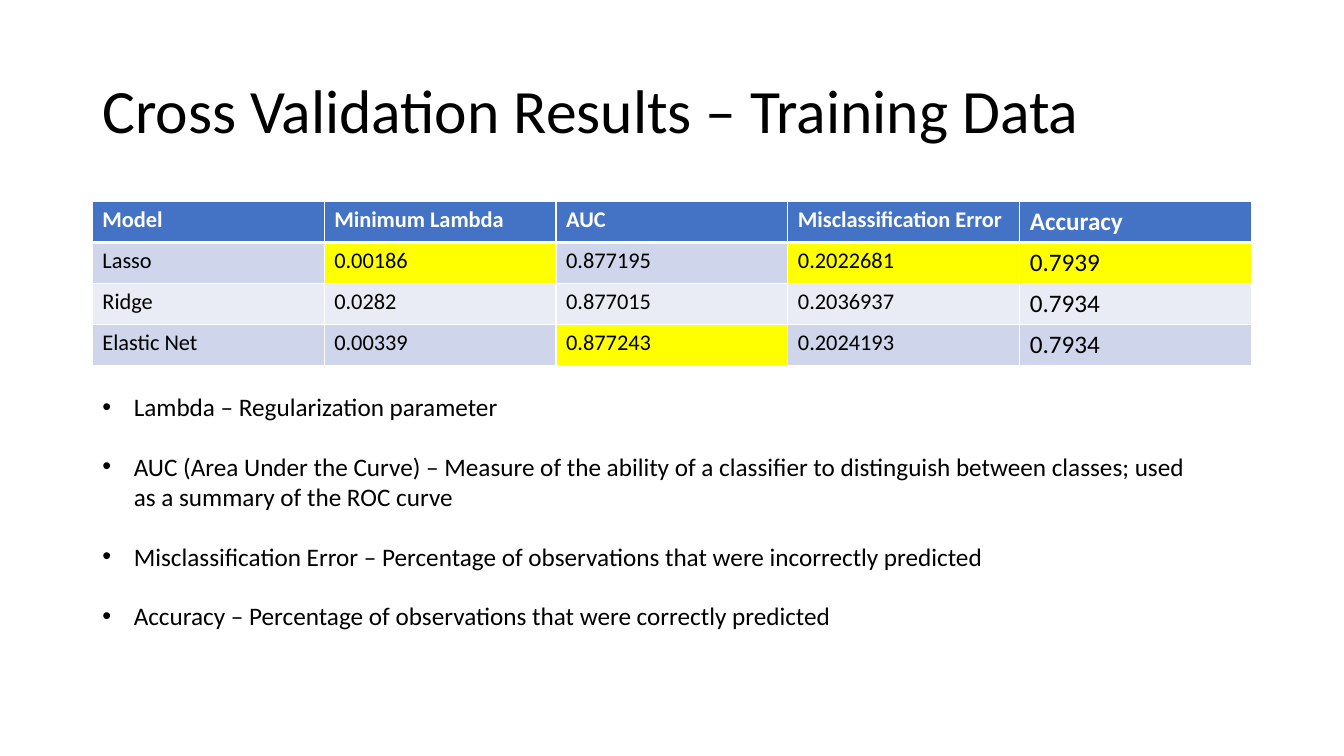
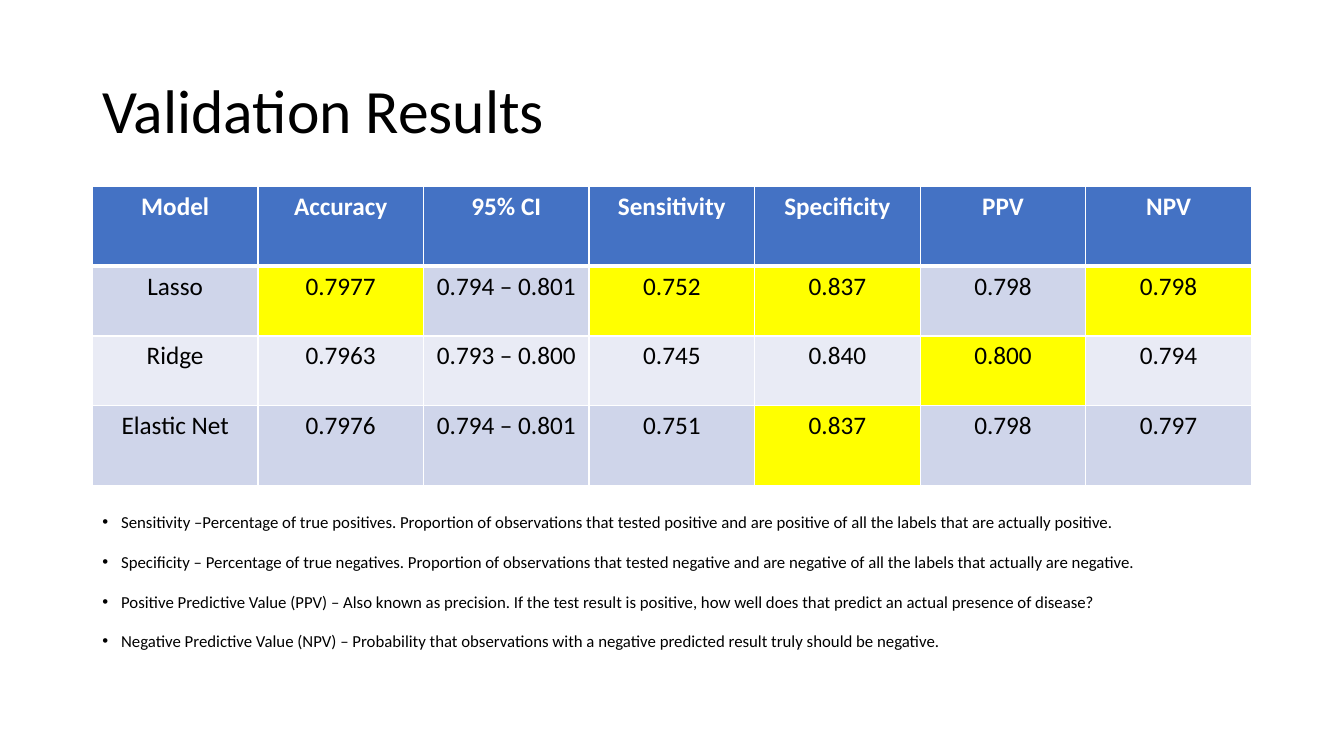
from dataclasses import dataclass

from lxml.etree import SubElement
from pptx import Presentation
from pptx.dml.color import RGBColor
from pptx.enum.text import MSO_ANCHOR, PP_ALIGN
from pptx.oxml import parse_xml
from pptx.oxml.ns import nsdecls, qn
from pptx.util import Pt


@dataclass(frozen=True)
class Theme:
    font: str = "Calibri"
    ink: str = "000000"
    paper: str = "FFFFFF"
    header: str = "4472C4"
    bands: tuple = ("CFD5EA", "E9EBF5")
    highlight: str = "FFFF00"
    title_size: int = 44
    table_size: int = 18
    rule: int = 1
    header_rule: int = 3


THEME = Theme()
LEFT, WIDTH = 66, 828
TITLE_TOP, TITLE_HEIGHT = 28.8, 104.4

# Highlights are (row, column) pairs; the header is row 0.
SLIDES = [
    {
        "title": "Cross Validation Results – Training Data",
        "table": [
            ["Model", "Minimum Lambda", "AUC", "Misclassification Error", "Accuracy"],
            ["Lasso", "0.00186", "0.877195", "0.2022681", "0.7939"],
            ["Ridge", "0.0282", "0.877015", "0.2036937", "0.7934"],
            ["Elastic Net", "0.00339", "0.877243", "0.2024193", "0.7934"],
        ],
        "highlights": {(1, 1), (1, 3), (1, 4), (3, 2)},
        "table_top": 144,
        "row_heights": [29.2] * 4,
        "column_sizes": [16] * 4 + [THEME.table_size],
        "align": PP_ALIGN.LEFT,
        "notes": [
            "Lambda – Regularization parameter",
            "AUC (Area Under the Curve) – Measure of the ability of a classifier to "
            "distinguish between classes; used as a summary of the ROC curve",
            "Misclassification Error – Percentage of observations that were incorrectly predicted",
            "Accuracy – Percentage of observations that were correctly predicted",
        ],
        "notes_box": (276, 803, 181),
        "notes_style": {"size": 18, "gap": 21, "indent": 22.5},
    },
    {
        "title": "Validation Results",
        "table": [
            ["Model", "Accuracy", "95% CI", "Sensitivity", "Specificity", "PPV", "NPV"],
            ["Lasso", "0.7977", "0.794 – 0.801", "0.752", "0.837", "0.798", "0.798"],
            ["Ridge", "0.7963", "0.793 – 0.800", "0.745", "0.840", "0.800", "0.794"],
            ["Elastic Net", "0.7976", "0.794 – 0.801", "0.751", "0.837", "0.798", "0.797"],
        ],
        "highlights": {(1, 1), (1, 3), (1, 4), (1, 6), (2, 5), (3, 4)},
        "table_top": 133,
        "row_heights": [57, 50, 50, 57],
        "column_sizes": [THEME.table_size] * 7,
        "align": PP_ALIGN.CENTER,
        "notes": [
            "Sensitivity –Percentage of true positives. Proportion of observations that tested "
            "positive and are positive of all the labels that are actually positive.",
            "Specificity – Percentage of true negatives. Proportion of observations that tested "
            "negative and are negative of all the labels that actually are negative.",
            "Positive Predictive Value (PPV) – Also known as precision. If the test result is "
            "positive, how well does that predict an actual presence of disease?",
            "Negative Predictive Value (NPV) – Probability that observations with a negative "
            "predicted result truly should be negative.",
        ],
        "notes_box": (362, 811, 109),
        "notes_style": {"size": 12, "gap": 14, "indent": 13.5},
    },
]


def write(para, text, size, color=THEME.ink, bold=False):
    span = para.add_run()
    span.text = text
    values = {"name": THEME.font, "size": Pt(size), "bold": bold}
    for name, value in values.items():
        setattr(span.font, name, value)
    span.font.color.rgb = RGBColor.from_string(color)


def add_text_frame(page, top, width, height):
    box = page.shapes.add_textbox(Pt(LEFT), Pt(top), Pt(width), Pt(height))
    box.text_frame.word_wrap = True
    return box.text_frame


def add_title(page, text):
    frame = add_text_frame(page, TITLE_TOP, WIDTH, TITLE_HEIGHT)
    frame.vertical_anchor = MSO_ANCHOR.MIDDLE
    para = frame.paragraphs[0]
    para.line_spacing = 0.9
    write(para, text, THEME.title_size)


def set_borders(cell, row):
    top = THEME.header_rule if row == 1 else THEME.rule
    bottom = THEME.header_rule if row == 0 else THEME.rule
    sides = {"L": THEME.rule, "R": THEME.rule, "T": top, "B": bottom}
    properties = cell._tc.get_or_add_tcPr()
    for index, (side, weight) in enumerate(sides.items()):
        properties.insert(index, parse_xml(
            f'<a:ln{side} {nsdecls("a")} w="{Pt(weight)}"><a:solidFill>'
            f'<a:srgbClr val="{THEME.paper}"/></a:solidFill></a:ln{side}>'))


def cell_fill(row, column, highlights):
    if (row, column) in highlights:
        return THEME.highlight
    return THEME.bands[(row - 1) % 2] if row else THEME.header


def add_results(page, content):
    rows, heights = content["table"], content["row_heights"]
    columns = len(rows[0])
    table = page.shapes.add_table(
        len(rows), columns, Pt(LEFT), Pt(content["table_top"]), Pt(WIDTH), Pt(sum(heights))).table
    for column in table.columns:
        column.width = Pt(WIDTH / columns)
    for r, (values, height) in enumerate(zip(rows, heights)):
        table.rows[r].height = Pt(height)
        for c, (text, size) in enumerate(zip(values, content["column_sizes"])):
            cell = table.cell(r, c)
            cell.fill.solid()
            cell.fill.fore_color.rgb = RGBColor.from_string(
                cell_fill(r, c, content["highlights"]))
            set_borders(cell, r)
            para = cell.text_frame.paragraphs[0]
            para.alignment = content["align"]
            write(para, text, size, THEME.ink if r else THEME.paper, bold=r == 0)


def add_bullet(para, indent):
    properties = para._p.get_or_add_pPr()
    properties.set("marL", str(Pt(indent)))
    properties.set("indent", str(-Pt(indent)))
    SubElement(properties, qn("a:buFont"), typeface="Arial")
    SubElement(properties, qn("a:buChar"), char="•")


def add_notes(page, notes, bounds, style):
    frame = add_text_frame(page, *bounds)
    for index, text in enumerate(notes):
        para = frame.add_paragraph() if index else frame.paragraphs[0]
        if index:
            para.space_before = Pt(style["gap"])
        add_bullet(para, style["indent"])
        write(para, text, style["size"])


def main():
    deck = Presentation()
    deck.slide_width, deck.slide_height = Pt(960), Pt(540)
    for content in SLIDES:
        page = deck.slides.add_slide(deck.slide_layouts[6])
        add_title(page, content["title"])
        add_results(page, content)
        add_notes(page, content["notes"], content["notes_box"], content["notes_style"])
    deck.save("out.pptx")


if __name__ == "__main__":
    main()
